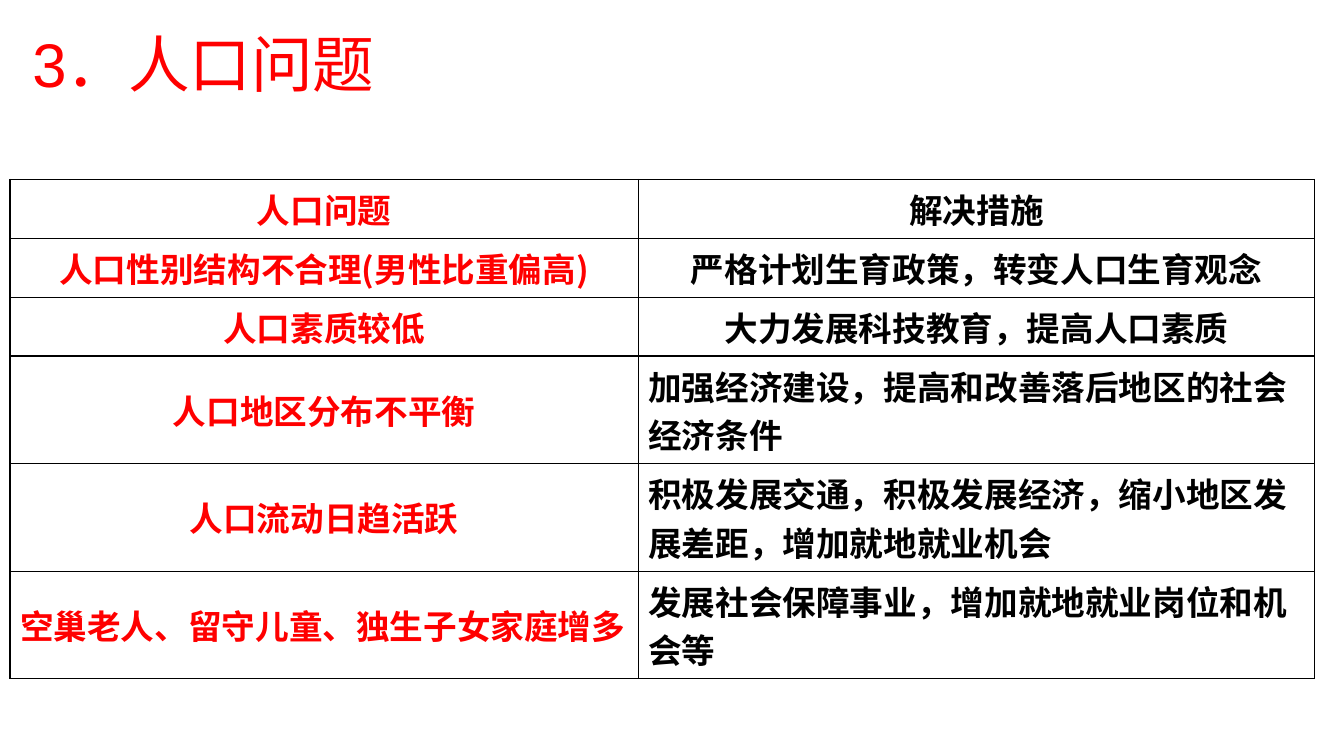
from lxml import etree
from pptx import Presentation
from pptx.dml.color import RGBColor
from pptx.enum.text import MSO_ANCHOR, MSO_AUTO_SIZE, PP_ALIGN
from pptx.oxml.ns import qn
from pptx.util import Inches, Pt

LEFT, CENTER = PP_ALIGN.LEFT, PP_ALIGN.CENTER
TOP, MIDDLE = MSO_ANCHOR.TOP, MSO_ANCHOR.MIDDLE
NO_FIT = MSO_AUTO_SIZE.NONE

TITLE = "3．人口问题"
ROWS = [
    ("人口问题", CENTER, "解决措施", CENTER, 0.5),
    ("人口性别结构不合理(男性比重偏高)", CENTER,
     "严格计划生育政策，转变人口生育观念", CENTER, 0.5),
    ("人口素质较低", CENTER, "大力发展科技教育，提高人口素质", CENTER, 0.5),
    ("人口地区分布不平衡", CENTER,
     "加强经济建设，提高和改善落后地区的社会经济条件", LEFT, 0.9),
    ("人口流动日趋活跃", CENTER,
     "积极发展交通，积极发展经济，缩小地区发展差距，增加就地就业机会", LEFT, 0.9),
    ("空巢老人、留守儿童、独生子女家庭增多", LEFT,
     "发展社会保障事业，增加就地就业岗位和机会等", LEFT, 0.9),
]
WIDTHS = [6.23, 6.71]
COLORS = {"red": "FF0000", "black": "000000"}
HAN = "Noto Sans CJK SC"


def style(para, face, size, color, bold, align):
    para.alignment = align
    for run in para.runs:
        east = etree.SubElement(run._r.get_or_add_rPr(), qn("a:ea"))
        east.set("typeface", HAN)
    font = para.font
    font.name, font.size, font.bold = face, Pt(size), bold
    font.color.rgb = RGBColor.from_string(COLORS[color])


def border(cell):
    props = cell._tc.get_or_add_tcPr()
    for side in ("a:lnL", "a:lnR", "a:lnT", "a:lnB"):
        line = etree.SubElement(props, qn(side), w=str(Pt(1)))
        fill = etree.SubElement(line, qn("a:solidFill"))
        etree.SubElement(fill, qn("a:srgbClr"), val=COLORS["black"])


def fill_cell(cell, text, align, color):
    border(cell)
    cell.fill.background()
    cell.vertical_anchor = MIDDLE
    cell.text = text
    style(cell.text_frame.paragraphs[0], HAN, 24, color, True, align)


def main():
    prs = Presentation()
    prs.slide_width, prs.slide_height = Inches(13.33), Inches(7.5)
    slide = prs.slides.add_slide(prs.slide_layouts[5])

    title = slide.shapes.title
    title.left, title.top = Inches(0.22), Inches(0.29)
    title.width, title.height = Inches(12.67), Inches(1.89)
    frame = title.text_frame
    frame.text = TITLE
    frame.auto_size = NO_FIT
    frame.vertical_anchor = TOP
    frame.paragraphs[0].line_spacing = 0.9
    style(frame.paragraphs[0], "Arial", 44, "red", False, LEFT)

    high = sum(row[-1] for row in ROWS)
    table = slide.shapes.add_table(
        len(ROWS), len(WIDTHS), Inches(0.1), Inches(1.78),
        Inches(sum(WIDTHS)), Inches(high)).table
    table.first_row = table.horz_banding = False
    for col, width in zip(table.columns, WIDTHS):
        col.width = Inches(width)
    for row, (issue, side, remedy, edge, tall) in zip(table.rows, ROWS):
        row.height = Inches(tall)
        fill_cell(row.cells[0], issue, side, "red")
        fill_cell(row.cells[1], remedy, edge, "black")

    prs.save("out.pptx")


if __name__ == "__main__":
    main()
